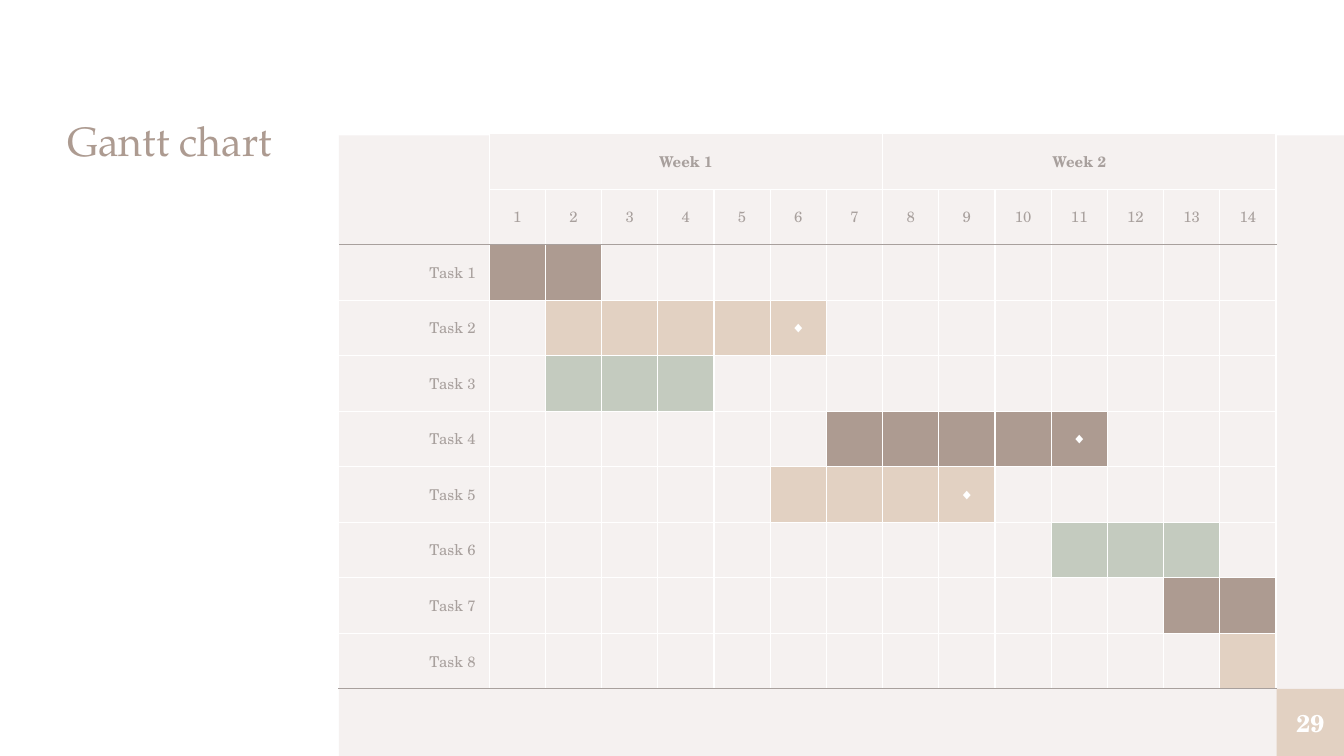
from dataclasses import dataclass
from typing import Optional

from lxml.etree import SubElement
from pptx import Presentation
from pptx.dml.color import RGBColor
from pptx.enum.shapes import MSO_SHAPE as Shape
from pptx.enum.text import MSO_ANCHOR as Anchor, PP_ALIGN as Align
from pptx.oxml.ns import qn
from pptx.util import Pt


@dataclass(frozen=True)
class Theme:
    panel: str = "F5F1F0"
    brown: str = "AD9B91"
    sand: str = "E2D1C2"
    sage: str = "C4CBBF"
    grey: str = "A8A09D"
    white: str = "FFFFFF"
    title_font: str = "TeX Gyre Pagella"
    body_font: str = "TeX Gyre Schola"
    title_size: float = 22
    page_size: float = 13
    table_size: float = 8
    rule: float = 0.75


@dataclass(frozen=True)
class Task:
    name: str
    first_day: int
    last_day: int
    color: str
    milestone: Optional[int] = None


@dataclass(frozen=True)
class Box:
    left: float
    top: float
    width: float
    height: float

    def points(self) -> tuple:
        return Pt(self.left), Pt(self.top), Pt(self.width), Pt(self.height)


THEME = Theme()
TASKS = [
    Task("Task 1", 1, 2, THEME.brown),
    Task("Task 2", 2, 6, THEME.sand, milestone=6),
    Task("Task 3", 2, 4, THEME.sage),
    Task("Task 4", 7, 11, THEME.brown, milestone=11),
    Task("Task 5", 6, 9, THEME.sand, milestone=9),
    Task("Task 6", 11, 13, THEME.sage),
    Task("Task 7", 13, 14, THEME.brown),
    Task("Task 8", 14, 14, THEME.sand),
]
WEEKS = ["Week 1", "Week 2"]
DAYS_PER_WEEK = 7
DAYS = len(WEEKS) * DAYS_PER_WEEK
HEADER_ROWS = 2
ROWS = HEADER_ROWS + len(TASKS)
LABEL_WIDTH, DAY_WIDTH, ROW_HEIGHT = 80.6, 30.12, 29.74

SLIDE_WIDTH, SLIDE_HEIGHT = 720, 405
PANEL = Box(181.5, 72.5, 538.5, 332.5)
TITLE = Box(36, 64.8, 128, 305)
PAGE_NUMBER = Box(684, 369, 36, 36)
GANTT = Box(181.5, 71.6, LABEL_WIDTH + DAYS * DAY_WIDTH, ROWS * ROW_HEIGHT)


def write(frame, text: str, *, size: float = THEME.table_size,
          font: str = THEME.body_font, color: str = THEME.grey,
          bold: bool = False, align=Align.CENTER, spacing: float = 1.0) -> None:
    paragraph = frame.paragraphs[0]
    paragraph.alignment = align
    paragraph.line_spacing = spacing
    run = paragraph.add_run()
    run.text = text
    run.font.size = Pt(size)
    run.font.name = font
    run.font.bold = bold
    run.font.color.rgb = RGBColor.from_string(color)


def clear_insets(frame) -> None:
    frame.margin_left = frame.margin_right = 0
    frame.margin_top = frame.margin_bottom = 0
    frame.word_wrap = True


def add_block(slide, box: Box, color: str):
    block = slide.shapes.add_shape(Shape.RECTANGLE, *box.points())
    block.shadow.inherit = False
    block.fill.solid()
    block.fill.fore_color.rgb = RGBColor.from_string(color)
    block.line.fill.background()
    return block


def set_borders(cell, **sides: Optional[str]) -> None:
    """Draw the four borders in white; L, R, T or B overrides, None hides one."""
    properties = cell._tc.get_or_add_tcPr()
    for side in "LRTB":
        color = sides.get(side, THEME.white)
        line = SubElement(properties, qn(f"a:ln{side}"), w=str(Pt(THEME.rule)))
        if color is None:
            SubElement(line, qn("a:noFill"))
        else:
            fill = SubElement(line, qn("a:solidFill"))
            SubElement(fill, qn("a:srgbClr"), val=color)


def set_fill(cell, color: Optional[str]) -> None:
    if color is None:
        cell.fill.background()
    else:
        cell.fill.solid()
        cell.fill.fore_color.rgb = RGBColor.from_string(color)


def fill_color(row: int, day: int) -> Optional[str]:
    """Task bars are coloured; day headers and every second task are tinted."""
    if row < HEADER_ROWS:
        return THEME.panel if day else None
    task = TASKS[row - HEADER_ROWS]
    if task.first_day <= day <= task.last_day:
        return task.color
    return THEME.panel if row % 2 else None


def border_colors(row: int, day: int) -> dict:
    sides = {}
    if row < HEADER_ROWS and day == 0:
        sides.update(L=None, T=None, B=None)
    if row in (HEADER_ROWS - 1, ROWS - 1):
        sides["B"] = THEME.grey
    if row == HEADER_ROWS:
        sides["T"] = THEME.grey
    return sides


def add_gantt(slide) -> None:
    table = slide.shapes.add_table(ROWS, DAYS + 1, *GANTT.points()).table
    table.first_row = table.horz_banding = False
    for day, column in enumerate(table.columns):
        column.width = Pt(DAY_WIDTH if day else LABEL_WIDTH)
    for row, table_row in enumerate(table.rows):
        table_row.height = Pt(ROW_HEIGHT)
        for day, cell in enumerate(table_row.cells):
            set_borders(cell, **border_colors(row, day))
            set_fill(cell, fill_color(row, day))
            cell.vertical_anchor = Anchor.MIDDLE
            cell.margin_top = cell.margin_bottom = 0

    for index, week in enumerate(WEEKS):
        first = 1 + index * DAYS_PER_WEEK
        heading = table.cell(0, first)
        heading.merge(table.cell(0, first + DAYS_PER_WEEK - 1))
        write(heading.text_frame, week, bold=True)
    for day in range(1, DAYS + 1):
        write(table.cell(1, day).text_frame, str(day))
    for row, task in enumerate(TASKS, start=HEADER_ROWS):
        write(table.cell(row, 0).text_frame, task.name, align=Align.RIGHT)
        if task.milestone:
            write(table.cell(row, task.milestone).text_frame, "◆", color=THEME.white)


def main() -> None:
    deck = Presentation()
    deck.slide_width, deck.slide_height = Pt(SLIDE_WIDTH), Pt(SLIDE_HEIGHT)
    slide = deck.slides.add_slide(deck.slide_layouts[6])

    add_block(slide, PANEL, THEME.panel)

    title = slide.shapes.add_textbox(*TITLE.points()).text_frame
    clear_insets(title)
    write(title, "Gantt chart", size=THEME.title_size, font=THEME.title_font,
          color=THEME.brown, align=Align.LEFT, spacing=0.9)

    page_number = add_block(slide, PAGE_NUMBER, THEME.sand).text_frame
    clear_insets(page_number)
    page_number.vertical_anchor = Anchor.MIDDLE
    write(page_number, "29", size=THEME.page_size, color=THEME.white, bold=True)

    add_gantt(slide)
    deck.save("out.pptx")


if __name__ == "__main__":
    main()
